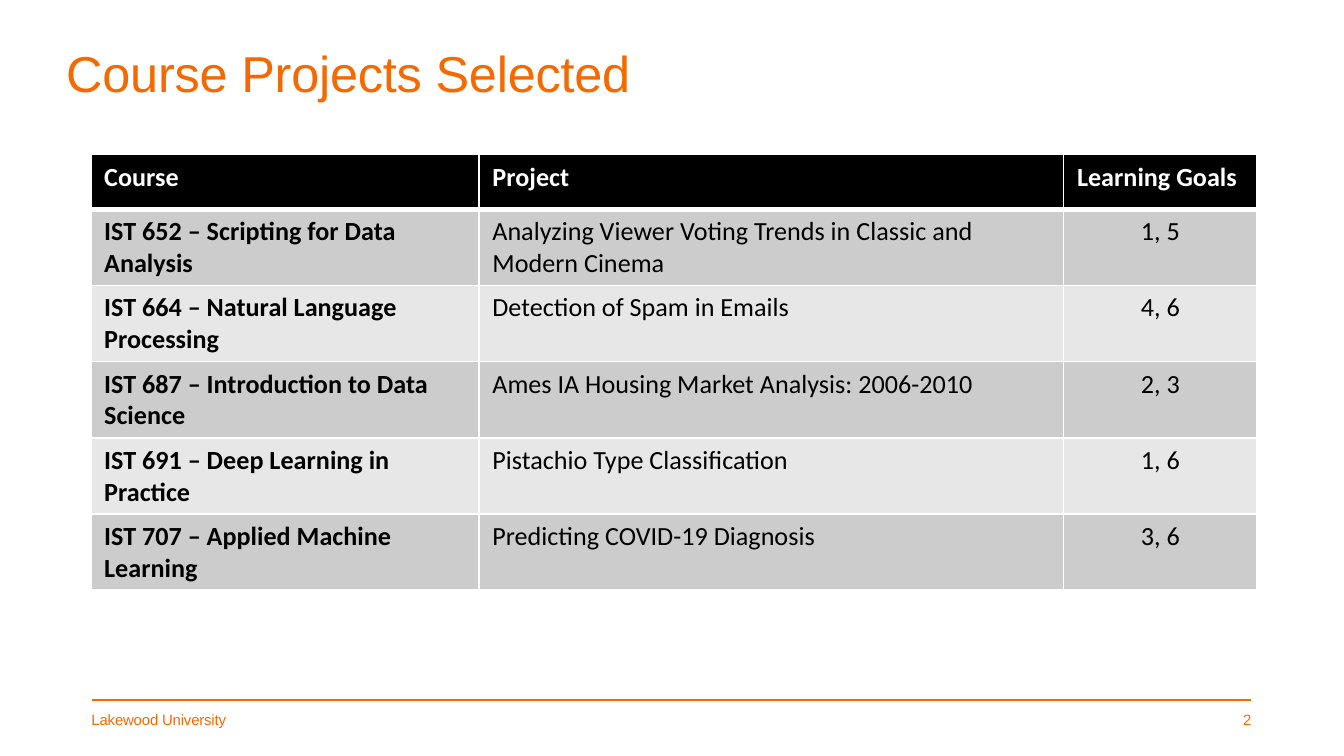
from lxml import etree
from pptx import Presentation
from pptx.dml.color import RGBColor
from pptx.enum import shapes, text
from pptx.oxml import ns
from pptx.util import Pt

COLORS = {
    "orange": "F66800",
    "black": "000000",
    "white": "FFFFFF",
    "odd_row": "CCCCCC",
    "even_row": "E7E7E7",
}
COLUMN_WIDTHS = (208, 313.2, 103.7)
ROWS = [
    ("Course", "Project", "Learning Goals"),
    ("IST 652 – Scripting for Data Analysis",
     "Analyzing Viewer Voting Trends in Classic and Modern Cinema", "1, 5"),
    ("IST 664 – Natural Language Processing", "Detection of Spam in Emails", "4, 6"),
    ("IST 687 – Introduction to Data Science",
     "Ames IA Housing Market Analysis: 2006-2010", "2, 3"),
    ("IST 691 – Deep Learning in Practice", "Pistachio Type Classification", "1, 6"),
    ("IST 707 – Applied Machine Learning", "Predicting COVID-19 Diagnosis", "3, 6"),
]


def rgb(name):
    return RGBColor.from_string(COLORS[name])


def write(tf, content, size=14, font="Calibri", color="black", bold=False,
          align=text.PP_ALIGN.LEFT, before=0, spacing=0):
    p = tf.paragraphs[0]
    p.alignment = align
    p.space_before = Pt(before)
    r = p.add_run()
    r.text = content
    r.font.size = Pt(size)
    r.font.name = font
    r.font.bold = bold
    r.font.color.rgb = rgb(color)
    if spacing:
        r._r.get_or_add_rPr().set("spc", str(round(spacing * 100)))


def add_label(s, content, x, y, w, h, **fmt):
    tf = s.shapes.add_textbox(Pt(x), Pt(y), Pt(w), Pt(h)).text_frame
    tf.word_wrap = True
    tf.margin_left = tf.margin_right = tf.margin_top = tf.margin_bottom = 0
    write(tf, content, font="Arial", color="orange", **fmt)


def add_title(s, x, y, w, h):
    add_label(s, "Course Projects Selected", x, y, w, h,
              size=27, before=1, spacing=-0.1)


def add_borders(cell, **widths):
    tc_pr = cell._tc.get_or_add_tcPr()
    for side in ("L", "R", "T", "B"):
        ln = etree.SubElement(tc_pr, ns.qn(f"a:ln{side}"),
                              w=str(Pt(widths.get(side, 1))))
        fill = etree.SubElement(ln, ns.qn("a:solidFill"))
        etree.SubElement(fill, ns.qn("a:srgbClr"), val=COLORS["white"])


def add_projects(s, x, y, w, h):
    table = s.shapes.add_table(len(ROWS), len(COLUMN_WIDTHS),
                               Pt(x), Pt(y), Pt(w), Pt(h)).table
    for column, width in zip(table.columns, COLUMN_WIDTHS):
        column.width = Pt(width)
    for i, values in enumerate(ROWS):
        table.rows[i].height = Pt(h / len(ROWS))
        header = i == 0
        fill = "black" if header else "odd_row" if i % 2 else "even_row"
        for j, value in enumerate(values):
            cell = table.cell(i, j)
            add_borders(cell, T=3 if i == 1 else 1, B=3 if header else 1)
            cell.fill.solid()
            cell.fill.fore_color.rgb = rgb(fill)
            centred = j == 2 and not header
            write(cell.text_frame, value,
                  color="white" if header else "black",
                  bold=header or j == 0,
                  align=text.PP_ALIGN.CENTER if centred else text.PP_ALIGN.LEFT)


def add_footer(s, x, y, w, h):
    rule = s.shapes.add_connector(shapes.MSO_CONNECTOR.STRAIGHT,
                                  Pt(x + 1.4), Pt(y), Pt(x + w - 3.6), Pt(y))
    rule.line.color.rgb = rgb("orange")
    rule.line.width = Pt(0.75)
    etree.SubElement(rule._element.spPr, ns.qn("a:effectLst"))
    top = y + 5.8
    add_label(s, "Lakewood University", x + 1, top, 90, h - 5.8,
              size=8, before=0.2, spacing=-0.1)
    add_label(s, "2", x + w - 8, top, 8, h - 5.8, size=8, before=0.2)


def main():
    prs = Presentation()
    prs.slide_width, prs.slide_height = Pt(720), Pt(405)
    s = prs.slides.add_slide(prs.slide_layouts[6])
    add_title(s, 35.5, 22.3, 325.4, 33.8)
    add_projects(s, 48.6, 82.8, sum(COLUMN_WIDTHS), 175.2)
    add_footer(s, 48, 375.1, 626, 16.6)
    prs.save("out.pptx")


if __name__ == "__main__":
    main()
